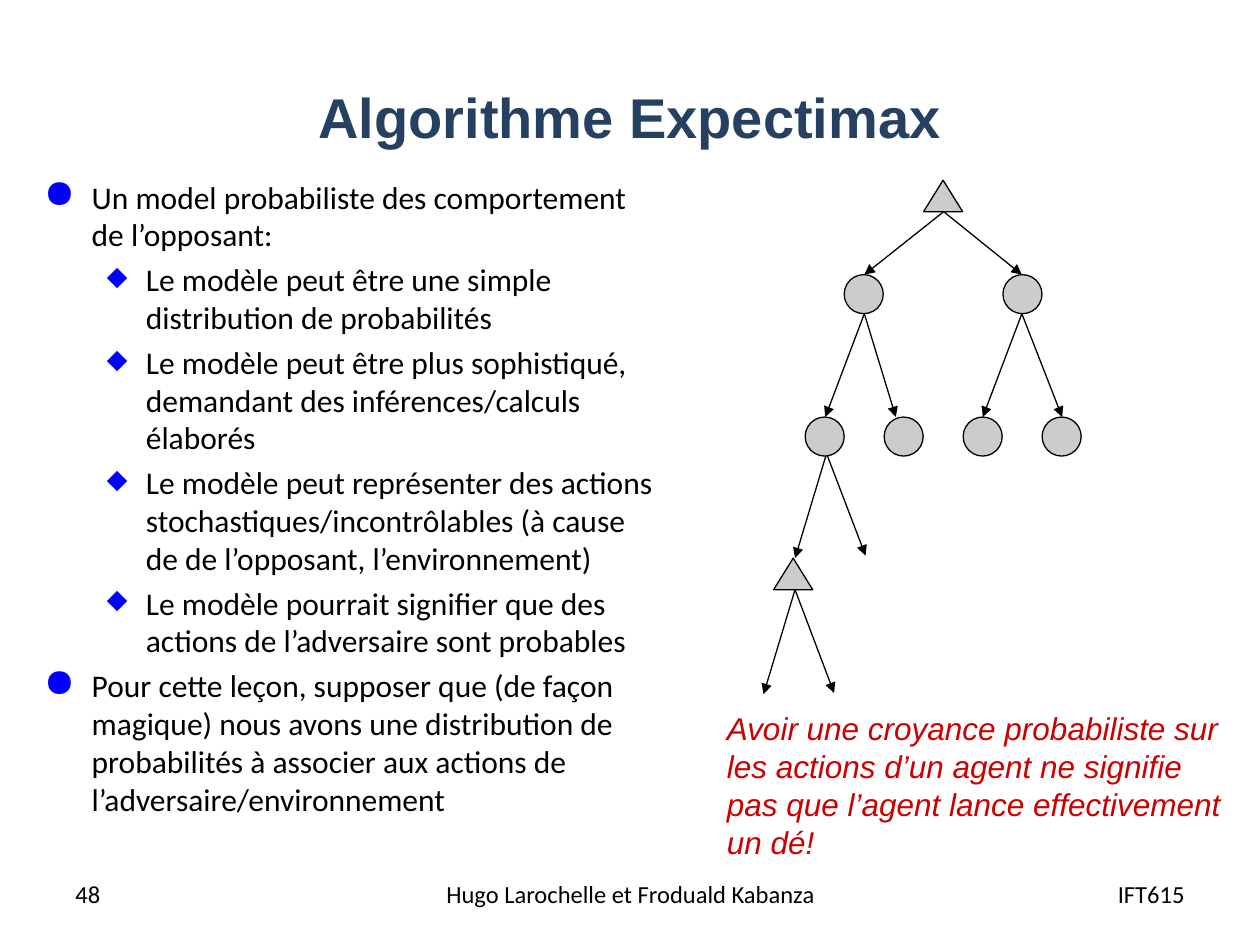
from lxml import etree
from pptx import Presentation
from pptx import util as u
from pptx.dml.color import RGBColor
from pptx.enum import shapes, text
from pptx.oxml.ns import qn

COLOURS = {
    "title": "254061",
    "body": "000000",
    "bullet": "0000FF",
    "node": "CCCCCC",
    "line": "000000",
    "remark": "CC0000",
}
BULLETS = [("●", 125000, 0.38, 0.38), ("◆", 85000, 0.81, 0.31)]
POINTS = [
    (0, "Un model probabiliste des comportement de l’opposant:"),
    (1, "Le modèle peut être une simple distribution de probabilités"),
    (1, "Le modèle peut être plus sophistiqué, demandant des inférences/calculs élaborés"),
    (1, "Le modèle peut représenter des actions stochastiques/incontrôlables "
        "(à cause de de l’opposant, l’environnement)"),
    (1, "Le modèle pourrait signifier que des actions de l’adversaire sont probables"),
    (0, "Pour cette leçon, supposer que (de façon magique) nous avons une distribution "
        "de probabilités à associer aux actions de l’adversaire/environnement"),
]
REMARK = ("Avoir une croyance probabiliste sur les actions d’un agent ne signifie "
          "pas que l’agent lance effectivement un dé!")

NODE = 0.31
TRIANGLE_HEIGHT = 0.25
TRIANGLES = [(7.33, 1.43), (6.14, 4.43)]
CIRCLES = [(6.7, 2.18), (7.96, 2.18)] + [(6.39 + 0.627 * i, 3.31) for i in range(4)]
BRANCHES = [
    ((7.49, 1.68), [(6.86, 2.18), (8.11, 2.18)]),
    ((6.86, 2.49), [(6.55, 3.31), (7.11, 3.31)]),
    ((8.11, 2.49), [(7.8, 3.31), (8.43, 3.31)]),
    ((6.56, 3.6), [(6.31, 4.43), (6.87, 4.41)]),
    ((6.31, 4.68), [(6.06, 5.51), (6.62, 5.5)]),
]


def colour(name):
    return RGBColor.from_string(COLOURS[name])


def style(paragraph, size, name, font="Calibri", bold=False, italic=False):
    paragraph.font.size = u.Pt(size)
    paragraph.font.name = font
    paragraph.font.bold = bold
    paragraph.font.italic = italic
    paragraph.font.color.rgb = colour(name)


def add_frame(slide, left, top, width, height, anchor=text.MSO_ANCHOR.TOP):
    box = slide.shapes.add_textbox(*map(u.Inches, (left, top, width, height)))
    frame = box.text_frame
    frame.word_wrap = True
    frame.vertical_anchor = anchor
    return frame


def add_label(slide, place, words, align, size, name, anchor=text.MSO_ANCHOR.MIDDLE, **look):
    paragraph = add_frame(slide, *place, anchor).paragraphs[0]
    paragraph.text = words
    paragraph.alignment = align
    style(paragraph, size, name, **look)


def set_bullet(paragraph, level):
    sign, size, margin, hanging = BULLETS[level]
    paragraph.level = level
    properties = paragraph._p.get_or_add_pPr()
    properties.set("marL", str(u.Inches(margin)))
    properties.set("indent", str(-u.Inches(hanging)))
    shade = etree.SubElement(properties, qn("a:buClr"))
    etree.SubElement(shade, qn("a:srgbClr"), val=COLOURS["bullet"])
    etree.SubElement(properties, qn("a:buSzPct"), val=str(size))
    etree.SubElement(properties, qn("a:buChar"), char=sign)


def add_points(slide):
    frame = add_frame(slide, 0.25, 1.36, 5.07, 5.29)
    for index, (level, words) in enumerate(POINTS):
        paragraph = frame.add_paragraph() if index else frame.paragraphs[0]
        paragraph.text = words
        if index:
            paragraph.space_before = u.Pt(4)
        set_bullet(paragraph, level)
        style(paragraph, 18, "body")


def add_node(slide, kind, left, top, height):
    node = slide.shapes.add_shape(kind, *map(u.Inches, (left, top, NODE, height)))
    node.shadow.inherit = False
    node.fill.solid()
    node.fill.fore_color.rgb = colour("node")
    node.line.color.rgb = colour("line")
    node.line.width = u.Pt(0.75)


def add_arrow(slide, start, end):
    arrow = slide.shapes.add_connector(
        shapes.MSO_CONNECTOR.STRAIGHT, *map(u.Inches, (*start, *end)))
    arrow.line.color.rgb = colour("line")
    arrow.line.width = u.Pt(0.75)
    etree.SubElement(arrow.line._get_or_add_ln(), qn("a:tailEnd"), type="triangle")
    etree.SubElement(arrow._element.spPr, qn("a:effectLst"))


def add_tree(slide):
    for start, ends in BRANCHES:
        for end in ends:
            add_arrow(slide, start, end)
    for left, top in TRIANGLES:
        add_node(slide, shapes.MSO_SHAPE.ISOSCELES_TRIANGLE, left, top, TRIANGLE_HEIGHT)
    for left, top in CIRCLES:
        add_node(slide, shapes.MSO_SHAPE.OVAL, left, top, NODE)


def main():
    deck = Presentation()
    deck.slide_width, deck.slide_height = u.Inches(10), u.Inches(7.5)
    slide = deck.slides.add_slide(deck.slide_layouts[6])
    align = text.PP_ALIGN
    add_label(slide, (0.5, 0.3, 9, 1.25), "Algorithme Expectimax", align.CENTER,
              32, "title", font="Arial", bold=True)
    add_points(slide)
    for left, width, words, side in [
        (3.42, 3.17, "Hugo Larochelle et Froduald Kabanza", align.CENTER),
        (7.17, 2.33, "IFT615", align.RIGHT),
        (0.5, 2.33, "48", align.LEFT),
    ]:
        add_label(slide, (left, 6.83, width, 0.52), words, side, 14, "body")
    add_tree(slide)
    add_label(slide, (5.67, 5.58, 4.25, 1.31), REMARK, align.LEFT, 18, "remark",
              text.MSO_ANCHOR.TOP, font="Arial", italic=True)
    deck.save("out.pptx")


if __name__ == "__main__":
    main()
